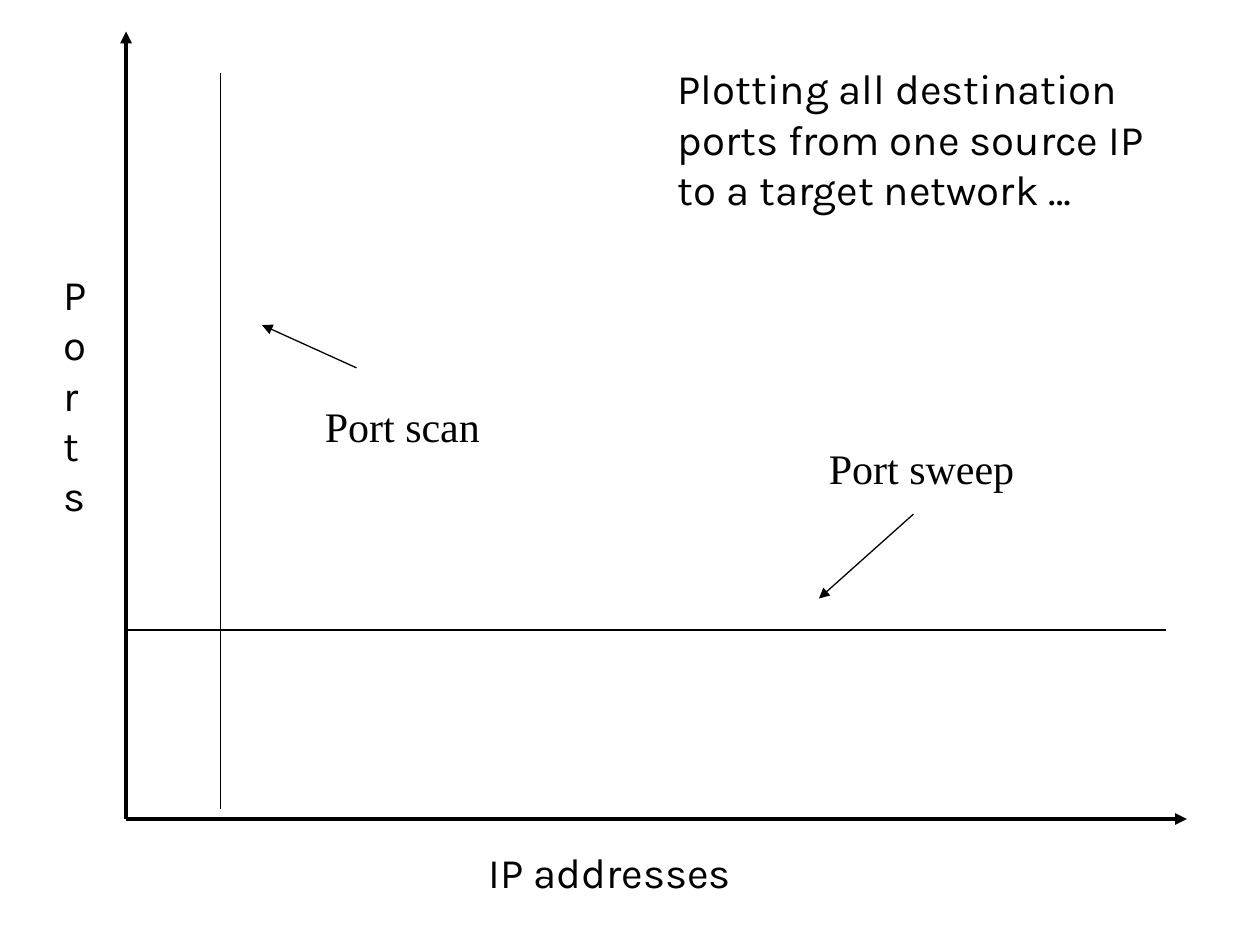
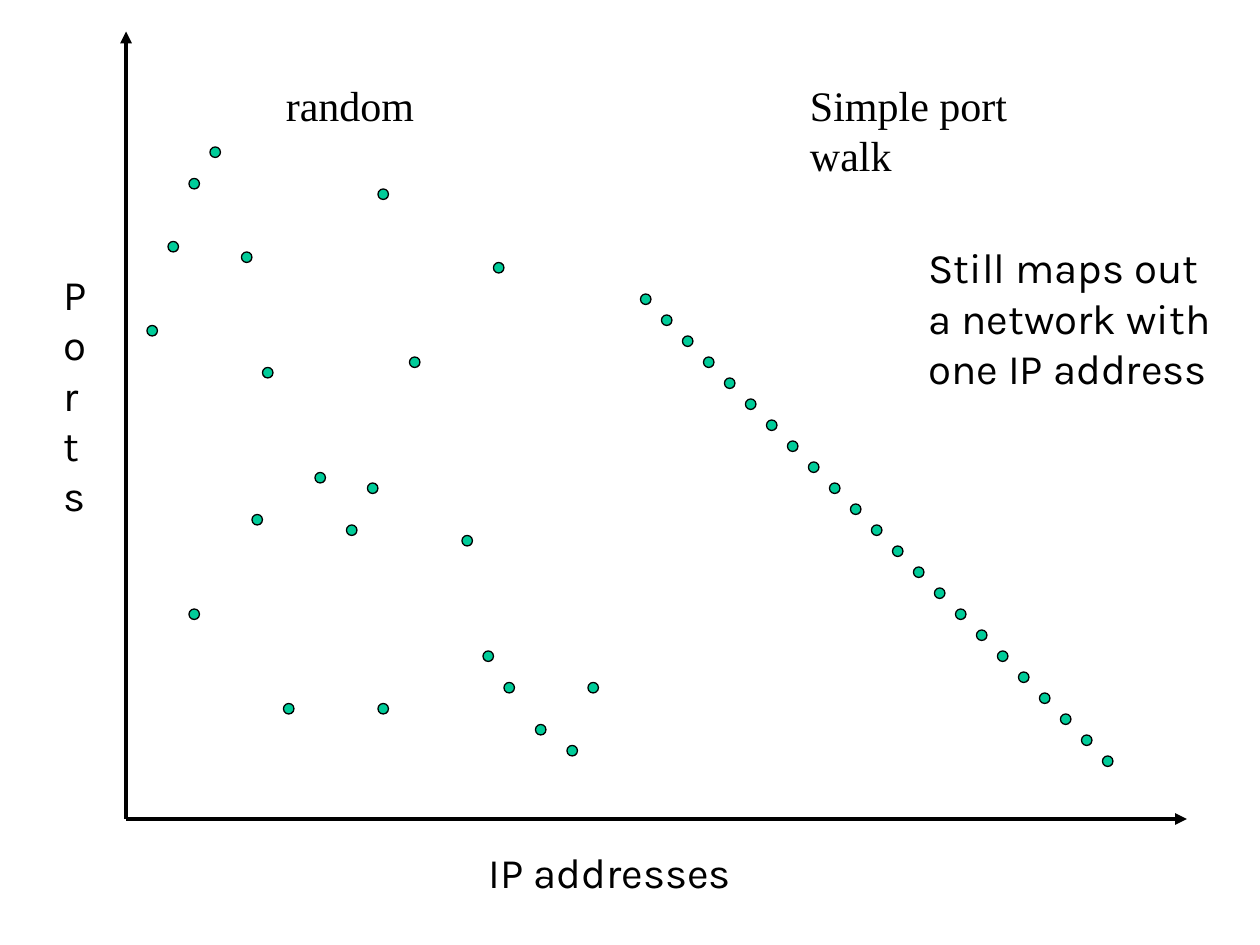
"""Build two port-versus-address plots: scan and sweep, then random and walk."""
from lxml.etree import SubElement
from pptx import Presentation
from pptx.dml.color import RGBColor
from pptx.enum.shapes import MSO_CONNECTOR, MSO_SHAPE
from pptx.enum.text import MSO_AUTO_SIZE
from pptx.oxml.ns import qn
from pptx.util import Inches, Pt

INK, GREEN = "000000", "00CC99"
SANS, SERIF = "Karla", "Times New Roman"
SIZE = 24
THIN, THICK = 0.75, 2.25
UNIT = 1 / 12

AXES = [((1, 6.5), (9.42, 6.5)), ((1, 6.5), (1, 0.25))]
NAMES = [
    (["IP addresses"], SANS, (3.78, 6.67, 2.19, 0.5)),
    (list("Ports"), SANS, (0.41, 2.08, 0.4, 2.1)),
]

SCAN = {
    "traces": [((1, 5), (9.25, 5)), ((1.75, 0.58), (1.75, 6.42))],
    "arrows": [((7.25, 4.08), (6.5, 4.75)), ((2.83, 2.92), (2.08, 2.58))],
    "dots": [],
    "texts": [
        (["Port sweep"], SERIF, (6.48, 3.46, 1.67, 0.5)),
        (["Port scan"], SERIF, (2.48, 3.13, 1.43, 0.5)),
        (["Plotting all destination", "ports from one source IP",
          "to a target network …"], SANS, (5.28, 0.45, 4.1, 1.3)),
    ],
}

WALK = [(61 + 2 * step, 28 + 2 * step) for step in range(23)]
RANDOM = [
    (14, 31), (16, 23), (18, 17), (20, 14), (18, 58), (23, 24), (24, 49),
    (25, 35), (27, 67), (30, 45), (33, 50), (35, 46), (36, 18), (39, 34),
    (47, 25), (44, 51), (36, 67), (46, 62), (48, 65), (51, 69), (54, 71),
    (56, 65),
]
SPREAD = {
    "traces": [],
    "arrows": [],
    "dots": WALK + RANDOM,
    "texts": [
        (["random"], SERIF, (2.17, 0.58, 1.22, 0.5)),
        (["Simple port walk"], SERIF, (6.33, 0.58, 2.49, 0.5)),
        (["Still maps out", "a network with", "one IP address"], SANS,
         (7.27, 1.87, 2.53, 1.3)),
    ],
}


def color(code):
    return RGBColor.from_string(code)


def stroke(line, width):
    line.color.rgb = color(INK)
    line.width = Pt(width)


def add_line(slide, start, end, width, arrow=False):
    ends = [Inches(n) for n in (*start, *end)]
    link = slide.shapes.add_connector(MSO_CONNECTOR.STRAIGHT, *ends)
    stroke(link.line, width)
    props = link._element.spPr
    if arrow:
        SubElement(props.find(qn("a:ln")), qn("a:tailEnd"), type="triangle")
    SubElement(props, qn("a:effectLst"))


def add_text(slide, rows, face, area):
    box = slide.shapes.add_textbox(*[Inches(n) for n in area])
    frame = box.text_frame
    frame.word_wrap = False
    frame.auto_size = MSO_AUTO_SIZE.SHAPE_TO_FIT_TEXT
    frame.text = "\n".join(rows)
    for para in frame.paragraphs:
        para.font.name = face
        para.font.size = Pt(SIZE)
        para.font.color.rgb = color(INK)


def add_dot(slide, col, row):
    area = [Inches(n * UNIT) for n in (col, row, 1, 1)]
    dot = slide.shapes.add_shape(MSO_SHAPE.OVAL, *area)
    dot.shadow.inherit = False
    dot.fill.solid()
    dot.fill.fore_color.rgb = color(GREEN)
    stroke(dot.line, THIN)


def add_plot(deck, plot):
    slide = deck.slides.add_slide(deck.slide_layouts[6])
    for start, end in AXES:
        add_line(slide, start, end, THICK, arrow=True)
    for start, end in plot["traces"]:
        add_line(slide, start, end, THIN)
    for start, end in plot["arrows"]:
        add_line(slide, start, end, THIN, arrow=True)
    for col, row in plot["dots"]:
        add_dot(slide, col, row)
    for rows, face, area in NAMES + plot["texts"]:
        add_text(slide, rows, face, area)


def main():
    deck = Presentation()
    deck.slide_width, deck.slide_height = Inches(10), Inches(7.5)
    for plot in (SCAN, SPREAD):
        add_plot(deck, plot)
    deck.save("out.pptx")


if __name__ == "__main__":
    main()
